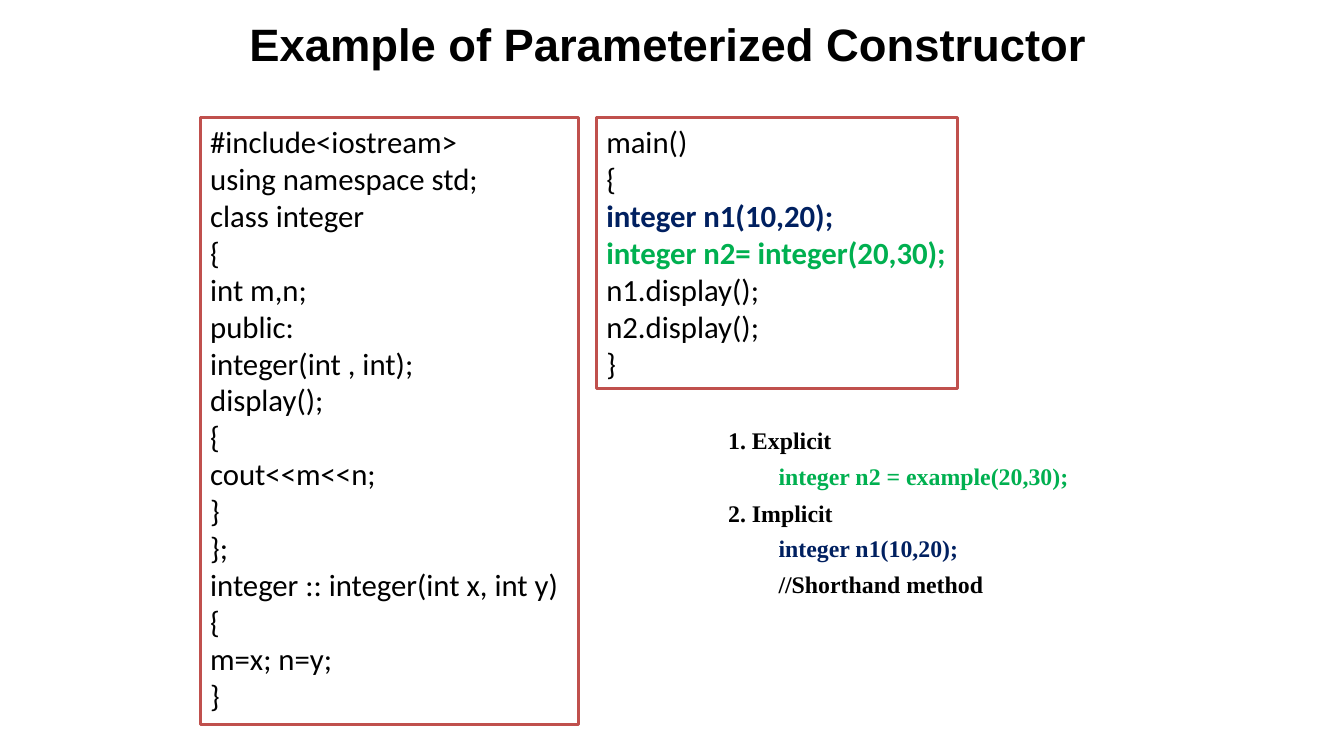
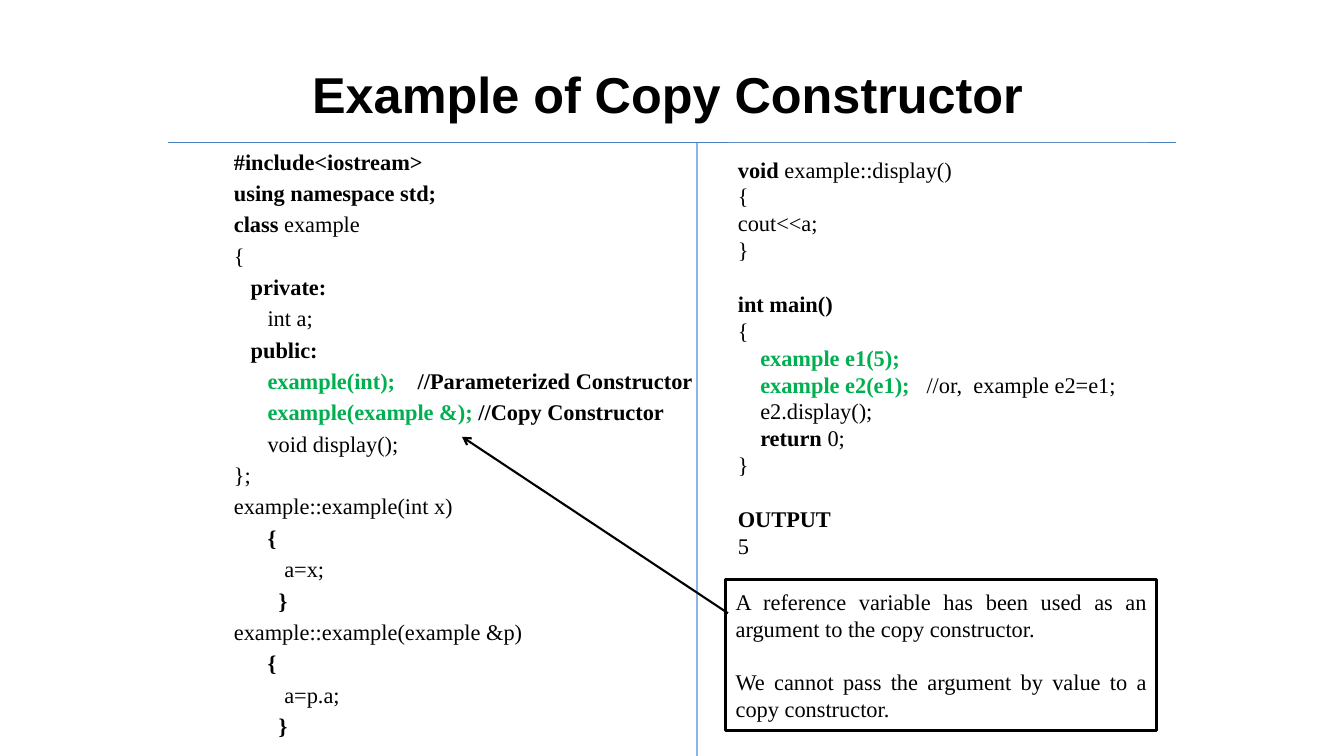
import dataclasses

import lxml.etree
import pptx
import pptx.dml.color
import pptx.enum.shapes
import pptx.enum.text
import pptx.oxml.ns
import pptx.util

Pt = pptx.util.Pt
RGBColor = pptx.dml.color.RGBColor
Align = pptx.enum.text.PP_ALIGN
Anchor = pptx.enum.text.MSO_ANCHOR
qn = pptx.oxml.ns.qn

BLACK = RGBColor(0x00, 0x00, 0x00)
WHITE = RGBColor(0xFF, 0xFF, 0xFF)
RED = RGBColor(0xC0, 0x50, 0x4D)
NAVY = RGBColor(0x00, 0x20, 0x60)
GREEN = RGBColor(0x00, 0xB0, 0x50)
RULE_BLUE = RGBColor(0x4B, 0x7E, 0xBC)
DIVIDER_BLUE = RGBColor(0x8E, 0xB4, 0xE3)

TITLE_FONT, SANS, SERIF = "Arial", "Calibri", "Times New Roman"
BLANK_LINE = 19.2  # height of one 16 pt line


@dataclasses.dataclass
class Span:
    text: str
    bold: bool = False
    color: RGBColor = BLACK
    font: str = ""
    tracking: float = 0  # extra points after each character


@dataclasses.dataclass
class Line:
    spans: list
    indent: float = 0
    before: float = 0


def strong(text, color=BLACK):
    return Span(text, True, color)


def gap(extra):
    """One space, widened by the given number of points."""
    return Span(" ", tracking=extra)


def line(*parts, **layout):
    """A line of text; bare strings become regular black spans."""
    spans = [Span(part) if isinstance(part, str) else part for part in parts]
    return Line(spans, **layout)


# Text
def write(frame, lines, size, font, align=Align.LEFT, spacing=0):
    for number, item in enumerate(lines):
        para = frame.add_paragraph() if number else frame.paragraphs[0]
        para.alignment = align
        para.space_before = Pt(item.before or spacing)
        properties = para._p.get_or_add_pPr()
        properties.set("marL", str(Pt(item.indent)))
        properties.set("indent", "0")
        for part in item.spans:
            span = para.add_run()
            span.text = part.text
            span.font.size = Pt(size)
            span.font.name = part.font or font
            span.font.bold = part.bold
            span.font.color.rgb = part.color
            if part.tracking:
                span._r.get_or_add_rPr().set("spc", str(round(part.tracking * 100)))


def prepare(frame, anchor=Anchor.TOP):
    frame.word_wrap = True
    frame.auto_size = pptx.enum.text.MSO_AUTO_SIZE.NONE
    frame.vertical_anchor = anchor
    return frame


# Elements
def add_titled_page(deck, text, top, height, size):
    page = deck.slides.add_slide(deck.slide_layouts[5])
    title = page.shapes.title
    title.left, title.top = Pt(150), Pt(top)
    title.width, title.height = Pt(654), Pt(height)
    write(prepare(title.text_frame, Anchor.MIDDLE), [line(strong(text))],
          size, TITLE_FONT, Align.CENTER)
    return page


def add_text(page, left, top, width, height):
    box = page.shapes.add_textbox(Pt(left), Pt(top), Pt(width), Pt(height))
    return prepare(box.text_frame)


def add_panel(page, left, top, width, height, border=None, anchor=Anchor.TOP):
    box = page.shapes.add_shape(pptx.enum.shapes.MSO_SHAPE.RECTANGLE,
                                Pt(left), Pt(top), Pt(width), Pt(height))
    box.shadow.inherit = False
    box.fill.solid()
    box.fill.fore_color.rgb = WHITE
    if border is None:
        box.line.fill.background()
    else:
        box.line.color.rgb = border
        box.line.width = Pt(2)
    return prepare(box.text_frame, anchor)


def add_line(page, start, end, color, width, arrow=False):
    connector = page.shapes.add_connector(pptx.enum.shapes.MSO_CONNECTOR.STRAIGHT,
                                          *map(Pt, start + end))
    connector.line.color.rgb = color
    connector.line.width = Pt(width)
    if arrow:
        stroke = connector.line._get_or_add_ln()
        lxml.etree.SubElement(stroke, qn("a:tailEnd"), type="arrow")
    lxml.etree.SubElement(connector._element.spPr, qn("a:effectLst"))


# Slides
def build_parameterized(deck):
    page = add_titled_page(deck, "Example of Parameterized Constructor", 12.2, 38.2, 32.4)

    class_code = ["#include<iostream>", "using namespace std;", "class integer", "{",
                  "int m,n;", "public:", "integer(int , int);", "display();", "{",
                  "cout<<m<<n;", "}", "};", "integer :: integer(int x, int y)", "{",
                  "m=x; n=y;", "}"]
    write(add_panel(page, 143, 84, 270, 433.4, RED), map(line, class_code), 22, SANS)

    main_code = ["main()", "{", strong("integer n1(10,20);", NAVY),
                 strong("integer n2= integer(20,30);", GREEN),
                 "n1.display();", "n2.display();", "}"]
    write(add_panel(page, 426, 84, 258, 193.7, RED), map(line, main_code), 22, SANS)

    # Two ways of calling the constructor
    heading = {"indent": 36, "before": 6}
    detail = {"indent": 72, "before": 5}
    calls = [
        line(strong("1. Explicit"), **heading),
        line(strong("integer n2 = example(20,30);", GREEN), **detail),
        line(strong("2. Implicit"), **heading),
        line(strong("integer n1(10,20);", NAVY), **detail),
        line(strong("//Shorthand method"), **detail),
    ]
    write(add_text(page, 477, 300.8, 300, 131.8), calls, 17, SERIF)


def build_copy(deck):
    page = add_titled_page(deck, "Example of Copy Constructor", 21.6, 90, 36)

    # Class definition
    class_code = [
        line(strong("#include<iostream>")),
        line(strong("using namespace std;")),
        line(strong("class"), " example"),
        line("{"),
        line(strong("private:"), indent=12),
        line("int a;", indent=24),
        line(strong("public:"), indent=12),
        line(strong("example(int);", GREEN), gap(12), strong("//Parameterized Constructor"),
             indent=24),
        line(strong("example(example &); ", GREEN), strong("//Copy Constructor"), indent=24),
        line("void display();", indent=24),
        line("};"),
    ]
    for signature, body in (("int x", "a=x;"), ("example &p", "a=p.a;")):
        class_code += [
            line(f"example::example({signature})"),
            line(strong("{"), indent=24),
            line(body, indent=36),
            line(strong("}"), indent=32),
        ]
    write(add_text(page, 160, 102, 660, 432), class_code, 16, SERIF, spacing=3.2)
    add_line(page, (120, 102), (840, 102), RULE_BLUE, 0.75)

    # Main program and its output
    main_code = [
        line(strong("void"), " example::display()"),
        line("{"),
        line("cout<<a;"),
        line("}"),
        line(strong("int main()"), before=BLANK_LINE),
        line("{"),
        line(strong("example e1(5);", GREEN), indent=16),
        line(strong("example e2(e1);", GREEN), gap(8), "//or,", gap(4), "example e2=e1;",
             indent=16),
        line("e2.display();", indent=16),
        line(strong("return "), "0;", indent=16),
        line("}"),
        line(strong("OUTPUT"), before=BLANK_LINE),
        line("5"),
        line(Span(".", font=SANS)),
    ]
    program = add_panel(page, 520, 102, 300, 306)
    program.margin_top = Pt(9.2)
    write(program, main_code, 16, SERIF)
    add_line(page, (498, 102), (498, 540), DIVIDER_BLUE, 1.75)

    # Callout on the copy constructor
    remarks = [
        line("A reference variable has been used as an argument to the copy constructor."),
        line("We cannot pass the argument by value to a copy constructor.", before=BLANK_LINE),
    ]
    write(add_panel(page, 518.4, 414, 308, 108, BLACK, Anchor.MIDDLE),
          remarks, 16, SERIF, Align.JUSTIFY)
    add_line(page, (520, 438), (330, 312), BLACK, 1.5, arrow=True)


def main():
    deck = pptx.Presentation()
    deck.slide_width, deck.slide_height = Pt(960), Pt(540)
    build_parameterized(deck)
    build_copy(deck)
    deck.save("out.pptx")


main()
